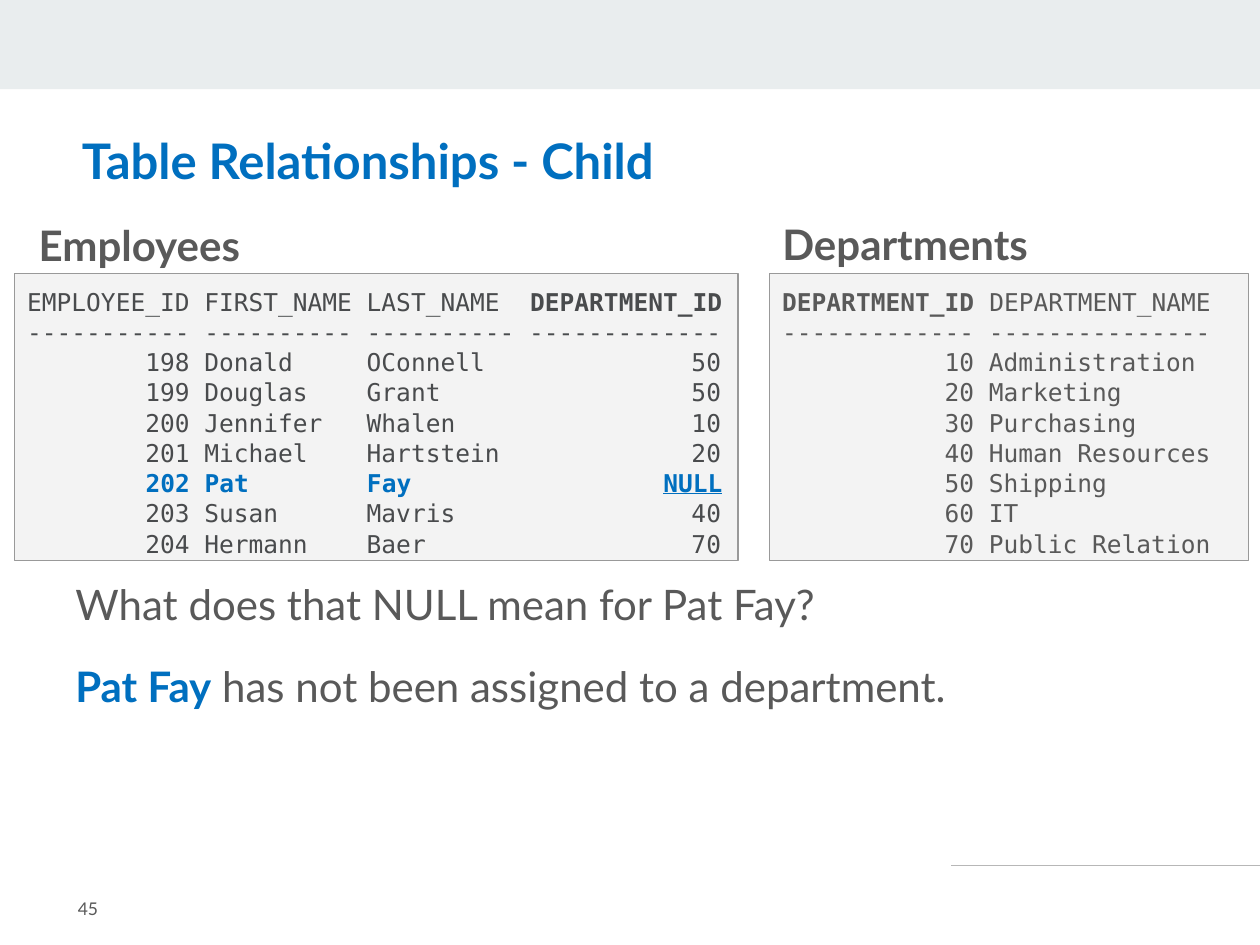
from dataclasses import dataclass

from lxml.etree import SubElement
from pptx import Presentation
from pptx.dml.color import RGBColor
from pptx.enum.shapes import MSO_CONNECTOR as Connector, MSO_SHAPE as Preset
from pptx.enum.text import MSO_ANCHOR as Anchor, MSO_AUTO_SIZE as AutoSize, PP_ALIGN as Align
from pptx.oxml.ns import qn
from pptx.util import Cm, Pt

BLUE = RGBColor(0x00, 0x6F, 0xBF)
GREY = RGBColor(0x59, 0x59, 0x59)
DARK = RGBColor(0x49, 0x4B, 0x4D)
BAND = RGBColor(0xE9, 0xED, 0xEE)
PANEL = RGBColor(0xF3, 0xF3, 0xF3)
BORDER = RGBColor(0x99, 0x99, 0x99)
RULE = RGBColor(0xB7, 0xB7, 0xB7)

EMPLOYEES = [
    (198, "Donald", "OConnell", 50),
    (199, "Douglas", "Grant", 50),
    (200, "Jennifer", "Whalen", 10),
    (201, "Michael", "Hartstein", 20),
    (202, "Pat", "Fay", "NULL"),
    (203, "Susan", "Mavris", 40),
    (204, "Hermann", "Baer", 70),
]
DEPARTMENTS = ["Administration", "Marketing", "Purchasing", "Human Resources",
               "Shipping", "IT", "Public Relation"]


def dashes(*widths):
    return " ".join("-" * width for width in widths)


def employee_line(number, first, last, department):
    line = f"{number:>11} {first:<10} {last:<10} {department:>13}"
    if department != "NULL":
        return [(line, {})]
    strong = {"bold": True, "color": BLUE}
    return [(line[:8], {}), (line[8:-4], strong), (line[-4:], strong | {"underline": True})]


@dataclass
class SlideBuilder:
    """Draws styled elements on the current slide."""
    page: object
    font: str = "Lato"
    mono: str = "DejaVu Sans Mono"

    def fill_text(self, shape, lines, style, layout=None, inset=0.13, anchor=Anchor.TOP):
        frame = shape.text_frame
        settings = {"word_wrap": True, "auto_size": AutoSize.NONE, "vertical_anchor": anchor,
                    "margin_left": Cm(0.25), "margin_right": Cm(0.25),
                    "margin_top": Cm(inset), "margin_bottom": Cm(inset)}
        for name, value in settings.items():
            setattr(frame, name, value)
        for index, spans in enumerate(lines):
            para = frame.add_paragraph() if index else frame.paragraphs[0]
            properties = para._p.get_or_add_pPr()
            properties.set("marL", "0")
            properties.set("indent", "0")
            SubElement(properties, qn("a:buNone"))
            spacing = {"alignment": Align.LEFT, "space_before": Pt(0), "space_after": Pt(0),
                       "line_spacing": 1.0} | (layout or {})
            if not index:
                spacing["space_before"] = Pt(0)
            for name, value in spacing.items():
                setattr(para, name, value)
            for text, change in spans:
                span = para.add_run()
                span.text = text
                for name, value in ({"name": self.font, "bold": False} | style | change).items():
                    if name == "color":
                        span.font.color.rgb = value
                    else:
                        setattr(span.font, name, value)

    def placeholder(self, index, area, lines, style, layout=None):
        box = next(item for item in self.page.placeholders
                   if item.placeholder_format.idx == index)
        for name, value in zip(("left", "top", "width", "height"), area):
            setattr(box, name, Cm(value))
        self.fill_text(box, lines, style, layout)

    def heading(self, index, area, text):
        self.placeholder(index, area, [[(text, {})]],
                         {"size": Pt(24), "bold": True, "color": GREY})

    def text(self, area, text, style):
        box = self.page.shapes.add_textbox(*map(Cm, area))
        self.fill_text(box, [[(text, {})]], style, inset=0.25, anchor=Anchor.MIDDLE)

    def rectangle(self, area, fill, border=None):
        box = self.page.shapes.add_shape(Preset.RECTANGLE, *map(Cm, area))
        box.shadow.inherit = False
        box.fill.solid()
        box.fill.fore_color.rgb = fill
        if border is None:
            box.line.fill.background()
        else:
            box.line.color.rgb = border
            box.line.width = Pt(0.75)
        return box

    def listing(self, area, lines, color):
        box = self.rectangle(area, PANEL, BORDER)
        style = {"name": self.mono, "size": Pt(14), "color": color}
        self.fill_text(box, lines, style, {"line_spacing": 1.03}, inset=0.25)

    def rule(self, *ends):
        line = self.page.shapes.add_connector(Connector.STRAIGHT, *map(Cm, ends))
        line.line.color.rgb = RULE
        line.line.width = Pt(0.75)
        SubElement(line._element.spPr, qn("a:effectLst"))

    def drop_empty(self):
        for box in list(self.page.placeholders):
            if not box.text_frame.text:
                box._element.getparent().remove(box._element)


def main():
    deck = Presentation()
    deck.slide_width, deck.slide_height = Cm(25.4), Cm(19.05)
    slide = SlideBuilder(deck.slides.add_slide(deck.slide_layouts.get_by_name("Comparison")))
    bold = {"bold": True}

    slide.rule(19.18, 17.45, 25.4, 17.45)
    slide.rectangle((0, 0, 25.4, 1.8), BAND)
    slide.placeholder(0, (1.4, 2.64, 20.02, 1.4), [[("Table Relationships - Child", {})]],
                      {"size": Pt(28), "bold": True, "color": BLUE}, {"line_spacing": 0.9})
    slide.heading(1, (0.53, 4.29, 6.05, 1), "Employees")
    slide.heading(3, (15.52, 4.27, 6.05, 1), "Departments")
    slide.placeholder(
        2, (1.27, 11.53, 20.93, 6.07),
        [[("What does that NULL mean for Pat Fay?", {})],
         [("Pat Fay", bold | {"color": BLUE}), (" has not been assigned to a department.", {})]],
        {"size": Pt(24), "color": GREY}, {"space_before": Pt(18)})
    slide.drop_empty()

    slide.listing(
        (15.52, 5.51, 9.65, 5.79),
        [[("DEPARTMENT_ID", bold), (" DEPARTMENT_NAME", {})], [(dashes(13, 15), {})]]
        + [[(f"{number * 10:>13} {name}", {})] for number, name in enumerate(DEPARTMENTS, 1)],
        GREY)
    slide.listing(
        (0.3, 5.51, 14.58, 5.79),
        [[(f"EMPLOYEE_ID FIRST_NAME {'LAST_NAME':<10} ", {}), ("DEPARTMENT_ID", bold)],
         [(dashes(11, 10, 10, 13), {})]]
        + [employee_line(*row) for row in EMPLOYEES],
        DARK)
    slide.text((1.32, 17.6, 3.12, 1.45), "45", {"size": Pt(10), "color": GREY})
    deck.save("out.pptx")


if __name__ == "__main__":
    main()
